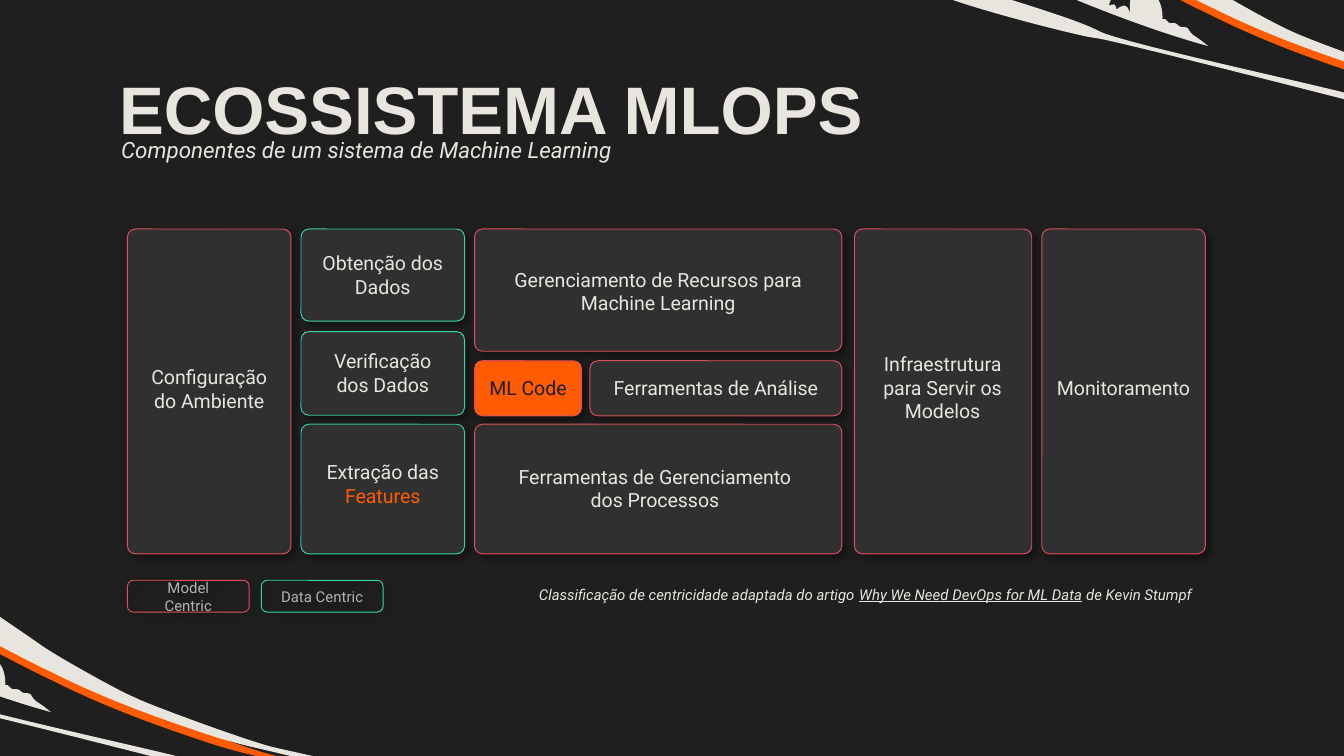
from lxml.etree import SubElement
from pptx import Presentation
from pptx.dml.color import RGBColor
from pptx.enum.shapes import MSO_SHAPE
from pptx.enum.text import MSO_ANCHOR, MSO_AUTO_SIZE, PP_ALIGN
from pptx.oxml.ns import qn
from pptx.util import Cm, Pt

COLORS = {
    "background": "1F1F1F", "card": "303030", "cream": "E7E5DD",
    "orange": "FF5B03", "model": "E04F5F", "data": "36D5A5",
    "legend": "B4B4B4", "shadow": "000000",
}

# Corner artwork on a grid 625 units wide: pairs are lines, sextets are cubic curves
GRID_WIDTH = 625
STRIPE = [
    (0, 0), (0, 0, 61, 34, 95, 50), (129, 67, 161, 79, 190, 89),
    (219, 99, 225, 101, 260, 109), (296, 118, 311, 119, 314, 119),
    (318, 120, 340, 123, 340, 123), (340, 123, 270, 108, 258, 105),
    (241, 101, 167, 74, 155, 68), (141, 62, 93, 35, 84, 28),
    (74, 21, 46, 2, 46, 2),
]
TREES = [
    (58, 0), (44, 0, 45, 9, 45, 9), (45, 9, 42, 7, 41, 7),
    (40, 7, 40, 7, 40, 8), (39, 10, 38, 13, 38, 13), (38, 13, 35, 7, 31, 7),
    (30, 7, 30, 7, 30, 7), (24, 8, 25, 9, 23, 9), (23, 9, 23, 9, 23, 9),
    (22, 9, 20, 6, 18, 6), (18, 6, 18, 6, 18, 6), (16, 6, 15, 6, 14, 6),
    (14, 6, 13, 6, 13, 6), (0, 2), (0, 2),
    (0, 2, 74, 36, 137, 53), (137, 53, 131, 48, 126, 45),
    (122, 42, 123, 39, 120, 39), (117, 39, 116, 39, 114, 37),
    (114, 36, 112, 36, 111, 36), (110, 36, 108, 36, 108, 36),
    (108, 36, 105, 33, 105, 33), (104, 33, 103, 33, 103, 33),
    (103, 33, 104, 21, 97, 15), (94, 12, 92, 11, 89, 11),
    (85, 11, 81, 14, 80, 16), (78, 20, 79, 30, 79, 30),
    (79, 30, 78, 23, 75, 23), (75, 23, 74, 23, 74, 23),
    (70, 24, 69, 26, 69, 26), (69, 26, 68, 22, 67, 22),
    (65, 22, 63, 23, 63, 23), (63, 23, 73, 0, 58, 0),
]
BAND = [
    (0, 0), (1, 18), (1, 18, 72, 52, 92, 61), (113, 70, 194, 91, 205, 92),
    (216, 93, 380, 135, 392, 138), (405, 140, 506, 158, 522, 158),
    (539, 158, 625, 167, 625, 167), (620, 155),
    (620, 155, 535, 153, 516, 150), (497, 147, 419, 141, 395, 134),
    (371, 127, 226, 96, 208, 87), (190, 77, 122, 58, 107, 52),
    (91, 45, 0, 0, 0, 0),
]
CORNER = [(STRIPE, 196, 25, "orange"), (TREES, 152, 45, "cream"),
          (BAND, 0, 0, "cream"), (STRIPE, 196, 19, "cream")]

# Cards in cm within the board: box, kind, label runs, label width, lines, label shift
CARDS = [
    ((3.28, 0, 3.09, 1.74), "data", [("Obtenção dos Dados", "cream")], 2.84, 2, (0, 0)),
    ((3.28, 3.69, 3.09, 2.45), "data",
     [("Extração das ", "cream"), ("Features", "orange")], 2.84, 2, (0, -0.1)),
    ((3.28, 1.94, 3.09, 1.58), "data",
     [("Verificação dos Dados", "cream")], 2.95, 2, (0, -0.01)),
    ((6.56, 2.49, 2.02, 1.04), "code", [("ML Code", "background")], 2.34, 1, (0, 0)),
    ((0, 0, 3.09, 6.14), "model",
     [("Configuração do Ambiente", "cream")], 2.84, 2, (0, -0.05)),
    ((6.56, 0, 6.94, 2.31), "model",
     [("Gerenciamento de Recursos para Machine Learning", "cream")], 5.94, 2, (0, 0.03)),
    ((6.56, 3.69, 6.94, 2.45), "model",
     [("Ferramentas de Gerenciamento dos Processos", "cream")], 6.35, 2, (-0.06, -0.01)),
    ((8.74, 2.49, 4.76, 1.04), "model",
     [("Ferramentas de Análise", "cream")], 4.72, 1, (0, 0)),
    ((13.74, 0, 3.35, 6.14), "model",
     [("Infraestrutura para Servir os Modelos", "cream")], 2.95, 3, (-0.01, -0.07)),
    ((17.28, 0, 3.09, 6.14), "model", [("Monitoramento", "cream")], 3.35, 1, (0, -0.06)),
]


def rgb(name):
    return RGBColor.from_string(COLORS[name])


def bend_curves(sp, outline):
    """Merge the three points of every sextet into one cubic curve."""
    lines = iter(list(sp._element.iter(qn("a:lnTo"))))
    for segment in outline[1:]:
        line = next(lines)
        if len(segment) == 6:
            line.tag = qn("a:cubicBezTo")
            for _ in range(2):
                extra = next(lines)
                line.append(extra[0])
                extra.getparent().remove(extra)


def add_corner(s, left, top, width):
    unit = width / GRID_WIDTH
    for outline, dx, dy, color in CORNER:
        points = [(Cm(left + (x + dx) * unit), Cm(top + (y + dy) * unit))
                  for segment in outline
                  for x, y in zip(segment[::2], segment[1::2])]
        builder = s.shapes.build_freeform(*points[0])
        builder.add_line_segments(points[1:], close=True)
        sp = builder.convert_to_shape()
        bend_curves(sp, outline)
        sp.shadow.inherit = False
        sp.fill.solid()
        sp.fill.fore_color.rgb = rgb(color)
        sp.line.fill.background()


def add_run(p, text, size, color, bold=False, italic=False, underline=False,
            font="Roboto"):
    r = p.add_run()
    r.text = text
    r.font.name, r.font.size = font, Pt(size)
    r.font.bold, r.font.italic, r.font.underline = bold, italic, underline
    r.font.color.rgb = rgb(color)


def add_text_box(s, box, align=PP_ALIGN.LEFT, grow=True):
    tf = s.shapes.add_textbox(*map(Cm, box)).text_frame
    tf.word_wrap = True
    if grow:
        tf.auto_size = MSO_AUTO_SIZE.SHAPE_TO_FIT_TEXT
    tf.paragraphs[0].alignment = align
    return tf


def add_rounded(s, box, line, fill=None, radius=0.15):
    sp = s.shapes.add_shape(MSO_SHAPE.ROUNDED_RECTANGLE, *map(Cm, box))
    sp.adjustments[0] = radius / min(box[2:])
    if fill:
        sp.fill.solid()
        sp.fill.fore_color.rgb = rgb(fill)
    else:
        sp.fill.background()
    sp.line.color.rgb = rgb(line)
    sp.line.width = Pt(0.5)
    # Soft shadow towards the lower right
    sp.shadow.inherit = False
    effects = sp._element.spPr.find(qn("a:effectLst"))
    shadow = SubElement(effects, qn("a:outerShdw"), blurRad=str(Pt(4)),
                        dist=str(Pt(3)), dir="2700000", algn="tl", rotWithShape="0")
    color = SubElement(shadow, qn("a:srgbClr"), val=COLORS["shadow"])
    SubElement(color, qn("a:alpha"), val="40000")
    return sp


def add_header(s, left, top, width):
    tf = add_text_box(s, (left, top, width, 1.6), grow=False)
    tf.vertical_anchor = MSO_ANCHOR.MIDDLE
    tf.margin_top = tf.margin_bottom = Cm(0.25)
    add_run(tf.paragraphs[0], "ECOSSISTEMA MLOPS", 36, "cream", bold=True, font="Arial")
    tf = add_text_box(s, (left + 0.04, top + 1.2, 16.15, 0.76))
    add_run(tf.paragraphs[0], "Componentes de um sistema de Machine Learning",
            12, "cream", italic=True)


def add_board(s, left, top):
    for (x, y, w, h), kind, runs, label_w, lines, (dx, dy) in CARDS:
        is_code = kind == "code"
        add_rounded(s, (left + x, top + y, w, h), "model" if is_code else kind,
                    "orange" if is_code else "card")
        # Label centred on its card, then shifted
        label_h = 0.27 + 0.44 * lines
        tf = add_text_box(s, (left + x + (w - label_w) / 2 + dx,
                              top + y + (h - label_h) / 2 + dy,
                              label_w, label_h), PP_ALIGN.CENTER)
        for text, color in runs:
            add_run(tf.paragraphs[0], text, 10.5, color)


def add_footer(s, left, top, width):
    # Legend
    for i, (text, kind) in enumerate([("Model Centric", "model"), ("Data Centric", "data")]):
        sp = add_rounded(s, (left + 2.53 * i, top, 2.3, 0.6), kind, radius=0.11)
        tf = sp.text_frame
        tf.word_wrap = True
        tf.vertical_anchor = MSO_ANCHOR.MIDDLE
        p = tf.paragraphs[0]
        p.alignment = PP_ALIGN.CENTER
        add_run(p, text, 8, "legend")
    # Credit
    tf = add_text_box(s, (left + width - 13.59, top - 0.03, 13.59, 0.61), PP_ALIGN.RIGHT)
    for text, underline in [("Classificação de centricidade adaptada do artigo ", False),
                            ("Why We Need DevOps for ML Data", True),
                            (" de Kevin Stumpf", False)]:
        add_run(tf.paragraphs[0], text, 8, "cream", italic=True, underline=underline)


def main():
    prs = Presentation()
    prs.slide_width, prs.slide_height = Cm(25.4), Cm(14.29)
    s = prs.slides.add_slide(prs.slide_layouts[6])
    s.background.fill.solid()
    s.background.fill.fore_color.rgb = rgb("background")
    add_corner(s, -6.38, 10.97, 15.88)
    add_corner(s, 15.49, -1.62, 15.88)
    add_header(s, 2, 1.24, 21.41)
    add_board(s, 2.41, 4.33)
    add_footer(s, 2.41, 10.97, 20.37)
    prs.save("out.pptx")


if __name__ == "__main__":
    main()
